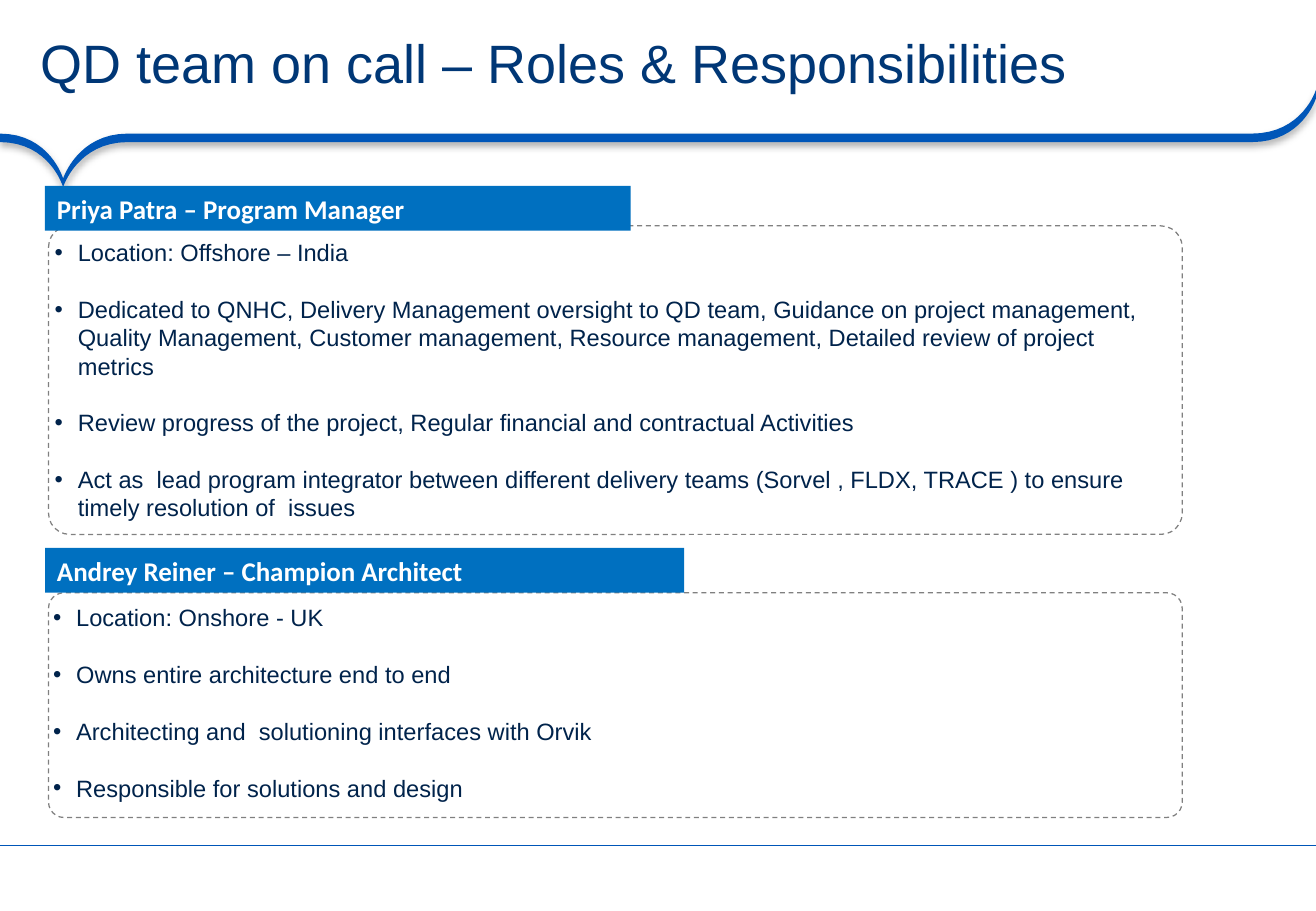
from dataclasses import dataclass

from lxml import etree
from pptx import Presentation
from pptx.dml.color import RGBColor
from pptx.enum.dml import MSO_LINE
from pptx.enum.shapes import MSO_CONNECTOR, MSO_SHAPE
from pptx.enum.text import MSO_ANCHOR, MSO_AUTO_SIZE, PP_ALIGN
from pptx.oxml import parse_xml
from pptx.oxml.ns import nsdecls, qn
from pptx.shapes.base import BaseShape
from pptx.slide import Slide
from pptx.text.text import TextFrame
from pptx.util import Emu, Inches, Pt

RECTANGLE = MSO_SHAPE.RECTANGLE
STRAIGHT = MSO_CONNECTOR.STRAIGHT
DASH = MSO_LINE.DASH
TOP, MIDDLE = MSO_ANCHOR.TOP, MSO_ANCHOR.MIDDLE
LEFT = PP_ALIGN.LEFT
NO_AUTOFIT = MSO_AUTO_SIZE.NONE

WHITE = RGBColor(0xFF, 0xFF, 0xFF)
BAND_BLUE = RGBColor(0x00, 0x56, 0xB8)
HEADER_BLUE = RGBColor(0x00, 0x70, 0xC0)
TITLE_BLUE = RGBColor(0x00, 0x37, 0x76)
TEXT_BLUE = RGBColor(0x00, 0x23, 0x4B)
FRAME_GREY = RGBColor(0x80, 0x80, 0x80)

SLIDE_WIDTH, SLIDE_HEIGHT = Inches(10.83), Inches(7.5)
TITLE_TEXT = "QD team on call – Roles & Responsibilities"
TITLE_HEIGHT = 14.67
HEADER_LEFT, HEADER_HEIGHT = 3.42, 4.93
FRAME_LEFT, FRAME_WIDTH = 3.69, 86.15
FOOTER_LINE_TOP = 92.8
BAND_THICKNESS = 0.93
CURVE_STEPS = 16

Point = tuple[float, float]


@dataclass(frozen=True)
class Role:
    """One person's header bar and list; lengths are percentages of the slide."""
    header: str
    header_top: float
    header_width: float
    frame_top: float
    frame_height: float
    duties: list[str]


ROLES = [
    Role("Priya Patra – Program Manager", 20.4, 44.51, 24.8, 33.87, [
        "Location: Offshore – India",
        "Dedicated to QNHC, Delivery Management oversight to QD team, Guidance on "
        "project management, Quality Management, Customer management, Resource "
        "management, Detailed review of project metrics",
        "Review progress of the project, Regular financial and contractual Activities",
        "Act as  lead program integrator between different delivery teams "
        "(Sorvel , FLDX, TRACE ) to ensure timely resolution of  issues",
    ]),
    Role("Andrey Reiner – Champion Architect", 60.13, 48.57, 65.07, 24.67, [
        "Location: Onshore - UK",
        "Owns entire architecture end to end",
        "Architecting and  solutioning interfaces with Orvik",
        "Responsible for solutions and design",
    ]),
]


def across(percent: float) -> Emu:
    return Emu(round(SLIDE_WIDTH * percent / 100))


def down(percent: float) -> Emu:
    return Emu(round(SLIDE_HEIGHT * percent / 100))


def place(shape: BaseShape, left: float, top: float, width: float, height: float) -> None:
    shape.left, shape.top = across(left), down(top)
    shape.width, shape.height = across(width), down(height)


def write_text(frame: TextFrame, lines: list[str], *, font: str, size: float,
               color: RGBColor, bold: bool = False, bullets: bool = False,
               anchor: MSO_ANCHOR = MIDDLE, line_spacing: float = 1.0, gap: float = 0,
               insets: tuple[float, float, float, float] = (0.1, 0.05, 0.1, 0.05)) -> None:
    """Fill a text frame; insets are left, top, right and bottom in inches."""
    frame.word_wrap = True
    frame.auto_size = NO_AUTOFIT
    frame.vertical_anchor = anchor
    (frame.margin_left, frame.margin_top,
     frame.margin_right, frame.margin_bottom) = map(Inches, insets)
    for index, line in enumerate(lines):
        paragraph = frame.add_paragraph() if index else frame.paragraphs[0]
        paragraph.alignment = LEFT
        paragraph.line_spacing = line_spacing
        paragraph.space_before = Pt(gap if index else 0)
        if bullets:
            properties = paragraph._p.get_or_add_pPr()
            properties.set("marL", str(Inches(0.19)))
            properties.set("indent", str(-Inches(0.19)))
            etree.SubElement(properties, qn("a:buChar"), char="•")
        run = paragraph.add_run()
        run.text = line
        run.font.name, run.font.size, run.font.bold = font, Pt(size), bold
        run.font.color.rgb = color


def curve(flat: Point, control: Point, tip: Point) -> list[Point]:
    """Points of a cubic curve that leaves flat and runs into tip."""
    points = []
    for step in range(CURVE_STEPS + 1):
        t = step / CURVE_STEPS
        weights = ((1 - t) ** 3, 3 * t * (1 - t) ** 2, 3 * t * t * (1 - t) + t ** 3)
        points.append(tuple(
            sum(weight * point[axis] for weight, point in zip(weights, (flat, control, tip)))
            for axis in (0, 1)))
    return points


def add_band(slide: Slide) -> None:
    level, notch = TITLE_HEIGHT, (4.8, 19.6)
    upper = (curve((0, level), (3.79, level), notch)
             + curve((9.7, level), (5.91, level), notch)[::-1]
             + curve((95.11, level), (98.98, level), (100, 9.87)))
    lower = [(x, y + BAND_THICKNESS) for x, y in reversed(upper)]
    outline = [(across(x), down(y)) for x, y in upper + lower]
    builder = slide.shapes.build_freeform(*outline[0])
    builder.add_line_segments(outline[1:], close=True)
    band = builder.convert_to_shape()
    band.fill.solid()
    band.fill.fore_color.rgb = BAND_BLUE
    band.line.fill.background()
    band.shadow.inherit = False
    band._element.spPr.find(qn("a:effectLst")).append(parse_xml(
        f'<a:outerShdw {nsdecls("a")} blurRad="{Pt(4)}" dist="{Pt(2)}" dir="5400000" '
        'rotWithShape="0"><a:srgbClr val="000000"><a:alpha val="31000"/></a:srgbClr>'
        '</a:outerShdw>'))


def add_footer_line(slide: Slide) -> None:
    height = down(FOOTER_LINE_TOP)
    line = slide.shapes.add_connector(STRAIGHT, SLIDE_WIDTH, height, 0, height)
    line.line.color.rgb = BAND_BLUE
    line.line.width = Pt(0.75)
    etree.SubElement(line._element.spPr, qn("a:effectLst"))


def fill_duties(body: BaseShape, role: Role) -> None:
    """Turn a body placeholder into a dashed rounded frame with the duties."""
    place(body, FRAME_LEFT, role.frame_top, FRAME_WIDTH, role.frame_height)
    body._element.spPr.insert(1, parse_xml(
        f'<a:prstGeom {nsdecls("a")} prst="roundRect"><a:avLst>'
        '<a:gd name="adj" fmla="val 6900"/></a:avLst></a:prstGeom>'))
    body.fill.solid()
    body.fill.fore_color.rgb = WHITE
    body.line.color.rgb = FRAME_GREY
    body.line.width = Pt(0.75)
    body.line.dash_style = DASH
    write_text(body.text_frame, role.duties, font="Arial", size=14, color=TEXT_BLUE,
               bullets=True, anchor=TOP, gap=16.8, insets=(0, 0.05, 0.1, 0.05))


def add_header(slide: Slide, role: Role) -> None:
    header = slide.shapes.add_shape(RECTANGLE, 0, 0, 0, 0)
    place(header, HEADER_LEFT, role.header_top, role.header_width, HEADER_HEIGHT)
    header.fill.solid()
    header.fill.fore_color.rgb = HEADER_BLUE
    header.line.fill.background()
    header.shadow.inherit = False
    write_text(header.text_frame, [role.header], font="Calibri", size=16,
               color=WHITE, bold=True)


def main() -> None:
    presentation = Presentation()
    presentation.slide_width, presentation.slide_height = SLIDE_WIDTH, SLIDE_HEIGHT
    slide = presentation.slides.add_slide(presentation.slide_layouts.get_by_name("Two Content"))
    title, *bodies = slide.placeholders
    place(title, 0, 0, 100, TITLE_HEIGHT)
    write_text(title.text_frame, [TITLE_TEXT], font="Arial", size=32, color=TITLE_BLUE,
               line_spacing=0.85, insets=(0.33, 0.04, 0.18, 0.04))
    add_band(slide)
    add_footer_line(slide)
    for body, role in zip(bodies, ROLES):
        fill_duties(body, role)
        add_header(slide, role)
    presentation.save("out.pptx")


if __name__ == "__main__":
    main()
